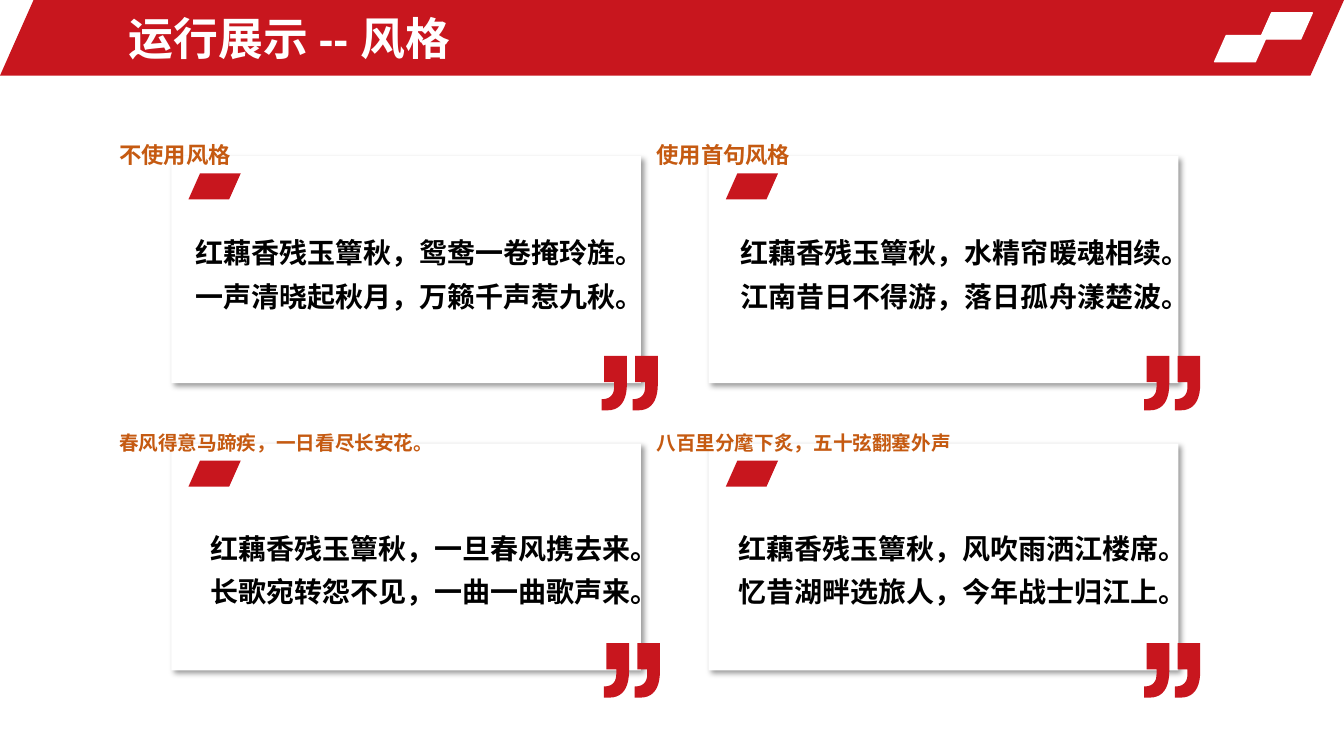
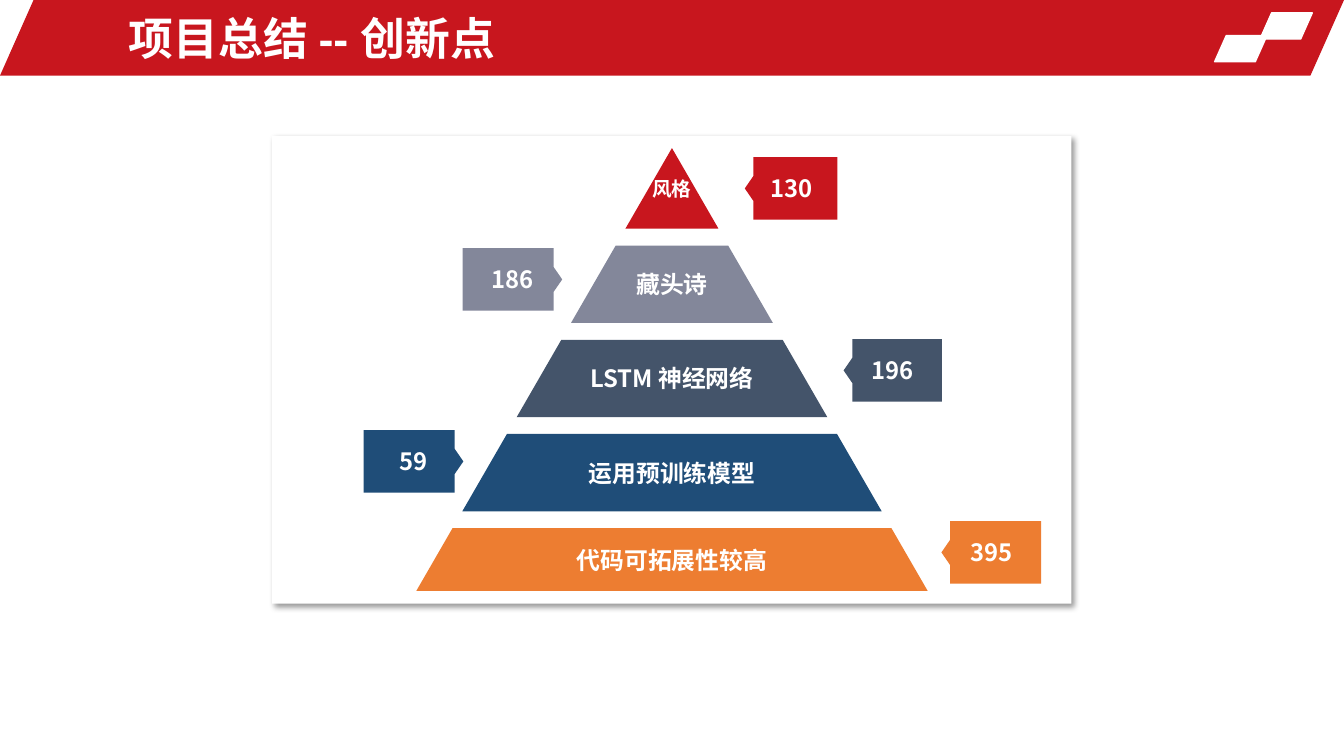
"""Builds two slides: poem styles in four cards, and a pyramid of new ideas."""
from dataclasses import dataclass
from math import radians, tan

from lxml.etree import SubElement
from pptx import Presentation
from pptx.dml.color import RGBColor
from pptx.enum.shapes import MSO_SHAPE
from pptx.enum.text import MSO_ANCHOR, PP_ALIGN
from pptx.oxml.ns import qn
from pptx.util import Pt


@dataclass(frozen=True)
class Theme:
    red: str = "C8161E"
    white: str = "FFFFFF"
    black: str = "000000"
    rust: str = "C55A11"
    gray: str = "83879A"
    slate: str = "44546A"
    blue: str = "1F4D78"
    orange: str = "ED7D31"
    latin: str = "Arial"
    cjk: str = "Noto Sans CJK SC"
    title: int = 32
    poem: int = 20
    level: int = 17
    head: int = 16
    small: int = 14
    slant: float = 0.444


T = Theme()
WIDE, HIGH = 960, 540
TAG = (37.4, 18.7)

TITLES = ("运行展示 -- 风格", "项目总结 -- 创新点")

CARDS = [
    dict(head="不使用风格", size=T.head, rise=14.4, poem_at=(10, 46), poem_w=315.4,
         quote=307.4, align=PP_ALIGN.LEFT,
         poem=["红藕香残玉簟秋，鸳鸯一卷掩玲旌。一声清晓起秋月，万籁千声惹九秋。"]),
    dict(head="使用首句风格", size=T.head, rise=14.4, poem_at=(12.2, 46), poem_w=321.8,
         quote=311, align=PP_ALIGN.CENTER,
         poem=["红藕香残玉簟秋，水精帘暖魂相续。", "江南昔日不得游，落日孤舟漾楚波。"]),
    dict(head="春风得意马蹄疾，一日看尽长安花。", size=T.small, rise=12.2,
         poem_at=(20.2, 51.8), poem_w=315.4, quote=308.9, align=PP_ALIGN.CENTER,
         poem=["红藕香残玉簟秋，一旦春风携去来。", "长歌宛转怨不见，一曲一曲歌声来。"]),
    dict(head="八百里分麾下炙，五十弦翻塞外声", size=T.small, rise=12.2,
         poem_at=(12.2, 51.8), poem_w=318.2, quote=311, align=PP_ALIGN.CENTER,
         poem=["红藕香残玉簟秋，风吹雨洒江楼席。", "忆昔湖畔选旅人，今年战士归江上。"]),
]

LEVELS = [
    ("风格", T.small, 57.5, T.red, "130", 52, 60),
    ("藏头诗", T.level, 55.2, T.gray, "186", -78.4, 65),
    ("LSTM 神经网络", T.level, 55.2, T.slate, "196", 122.6, 64),
    ("运用预训练模型", T.level, 55.2, T.blue, "59", -149, 65),
    ("代码可拓展性较高", T.level, 44.8, T.orange, "395", 192.5, 65),
]


def rgb(color):
    return RGBColor.from_string(color)


def paint(shape, fill, line=None):
    shape.shadow.inherit = False
    shape.fill.solid()
    shape.fill.fore_color.rgb = rgb(fill)
    if line:
        shape.line.color.rgb = rgb(line)
        shape.line.width = Pt(1)
    else:
        shape.line.fill.background()
    return shape


def block(slide, kind, x, y, w, h, fill, line=None):
    shape = slide.shapes.add_shape(kind, Pt(x), Pt(y), Pt(w), Pt(h))
    if kind == MSO_SHAPE.PARALLELOGRAM:
        shape.adjustments[0] = T.slant
    return paint(shape, fill, line)


def panel(slide, x, y, w, h):
    shape = block(slide, MSO_SHAPE.RECTANGLE, x, y, w, h, T.white)
    effect = shape._element.spPr.find(qn("a:effectLst"))
    shade = SubElement(effect, qn("a:outerShdw"), blurRad=str(Pt(4)), dist=str(Pt(3)),
                       dir="2700000", algn="tl", rotWithShape="0")
    color = SubElement(shade, qn("a:srgbClr"), val=T.black)
    SubElement(color, qn("a:alpha"), val="40000")


def outline(slide, loops, fill):
    loops = [[(Pt(x), Pt(y)) for x, y in loop] for loop in loops]
    pen = slide.shapes.build_freeform(*loops[0][0])
    for i, loop in enumerate(loops):
        if i:
            pen.move_to(*loop[0])
        pen.add_line_segments(loop[1:], close=True)
    return paint(pen.convert_to_shape(), fill)


def write(shape, lines, size, color, font=T.latin, align=PP_ALIGN.LEFT,
          anchor=MSO_ANCHOR.TOP, space=None):
    frame = shape.text_frame
    frame.word_wrap = True
    frame.vertical_anchor = anchor
    for i, line in enumerate(lines):
        para = frame.add_paragraph() if i else frame.paragraphs[0]
        para.text = line
        para.alignment = align
        if space:
            para.line_spacing = space
        face = para.font
        face.size, face.bold, face.name = Pt(size), True, font
        face.color.rgb = rgb(color)
        SubElement(para._p.pPr.find(qn("a:defRPr")), qn("a:ea"), typeface=T.cjk)


def text(slide, x, y, w, h, lines, size, color, **style):
    box = slide.shapes.add_textbox(Pt(x), Pt(y), Pt(w), Pt(h))
    write(box, lines, size, color, **style)


def label(shape, words, size):
    frame = shape.text_frame
    frame.margin_left = frame.margin_right = 0
    frame.margin_top = frame.margin_bottom = 0
    write(shape, [words], size, T.white, font=T.cjk, align=PP_ALIGN.CENTER,
          anchor=MSO_ANCHOR.MIDDLE)


def start(deck, title):
    slide = deck.slides.add_slide(deck.slide_layouts[6])
    block(slide, MSO_SHAPE.PARALLELOGRAM, 0, 0, WIDE, 54, T.red)
    for x, y in ((900, 9.2), (867.6, 25.4)):
        block(slide, MSO_SHAPE.PARALLELOGRAM, x, y, *TAG, T.white, T.white)
    text(slide, 85, 3.6, 557.3, 46.8, [title], T.title, T.white,
         anchor=MSO_ANCHOR.MIDDLE)
    return slide


def curve(a, b, c, d, steps=10):
    for i in range(1, steps + 1):
        t = i / steps
        u = 1 - t
        yield tuple(u**3 * p + 3 * u * u * t * q + 3 * u * t * t * r + t**3 * s
                    for p, q, r, s in zip(a, b, c, d))


def quote(slide, x, y):
    mark = [(1.8, 0), (1.8, 18.7), (8.9, 18.7), (8.9, 22.3),
            *curve((8.9, 22.3), (8.9, 27.7), (6, 31), (0, 31)),
            (0, 38.9), (4.3, 38.9),
            *curve((4.3, 38.9), (13, 38.9), (18, 32.4), (18, 20.2)), (18, 0)]
    outline(slide, [[(x + dx + px, y + py) for px, py in mark] for dx in (0, 22.1)], T.red)


def poems(deck):
    slide = start(deck, TITLES[0])
    for i, card in enumerate(CARDS):
        row, col = divmod(i, 2)
        x, y = 122.4 + col * 383.8, 111.6 + row * 205.2
        panel(slide, x, y, 335.5, 162)
        block(slide, MSO_SHAPE.PARALLELOGRAM, x + 12.2, y + 12.2, *TAG, T.red)
        dx, dy = card["poem_at"]
        text(slide, x + dx, y + dy, card["poem_w"], 69.8, card["poem"], T.poem, T.black,
             align=card["align"], space=1.3)
        quote(slide, x + card["quote"], y + 142.6)
        text(slide, x - 44.4, y - card["rise"], 260, 26.6, [card["head"]],
             card["size"], T.rust)


def flag(slide, tip, y, width, fill, words):
    side = 1 if tip > 0 else -1
    tip += WIDE / 2
    base = tip + side * 6.2
    end = base + side * width
    spots = [(base, 0), (base, 13.3), (tip, 22.3), (base, 31.3),
             (base, 44.6), (end, 44.6), (end, 0)]
    label(outline(slide, [[(x, y + dy) for x, dy in spots]], fill), words, T.level)


def pyramid(deck):
    slide = start(deck, TITLES[1])
    panel(slide, 194.4, 97.2, 571, 334)
    mid, apex, gap = WIDE / 2, 105.8, 12.1
    slope = tan(radians(30))
    top = apex
    for i, (words, size, high, fill, value, tip, width) in enumerate(LEVELS):
        low = top + high
        near, far = (top - apex) * slope, (low - apex) * slope
        spots = [(mid - near, top), (mid - far, low), (mid + far, low)]
        if near:
            spots.append((mid + near, top))
        label(outline(slide, [spots], fill), words, size)
        flag(slide, tip, 112.3 + 65 * i, width, fill, value)
        top = low + gap


def main():
    deck = Presentation()
    deck.slide_width, deck.slide_height = Pt(WIDE), Pt(HIGH)
    poems(deck)
    pyramid(deck)
    deck.save("out.pptx")


if __name__ == "__main__":
    main()
